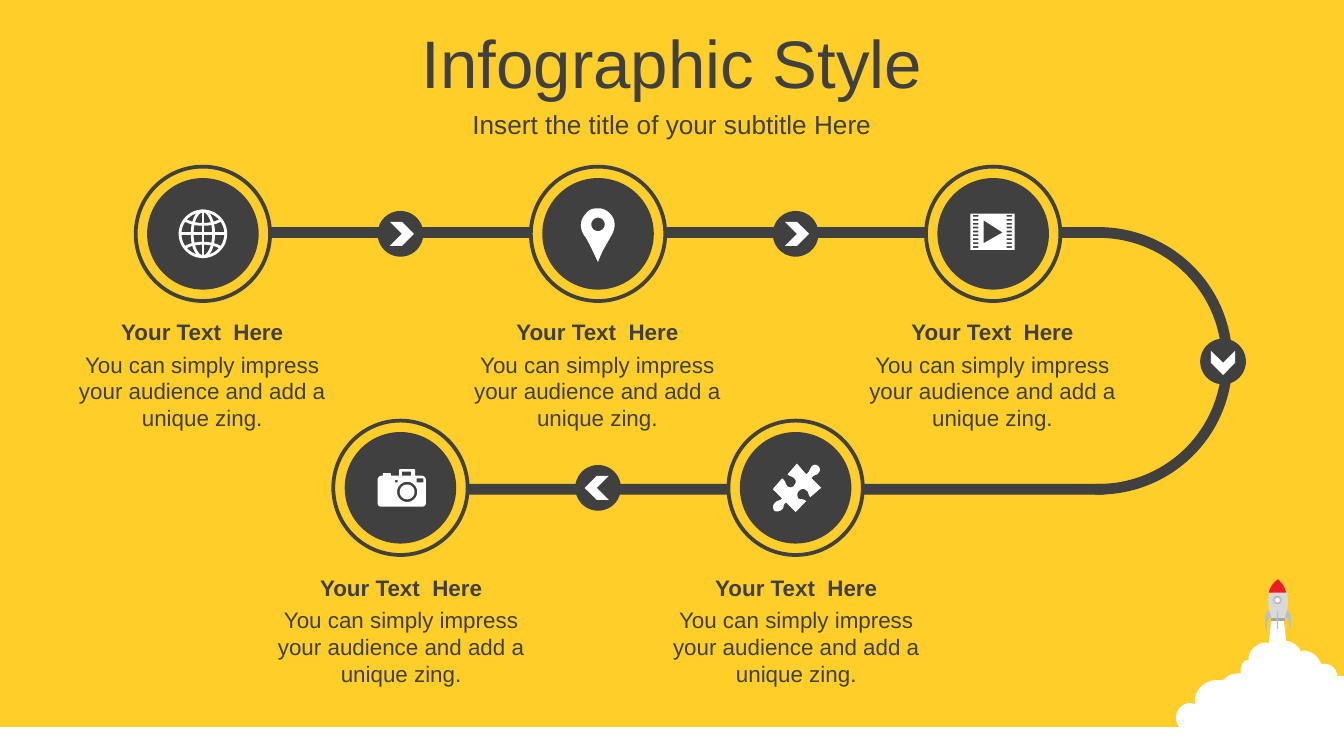
from dataclasses import dataclass
from math import cos, pi, radians, sin

from pptx import Presentation
from pptx.dml.color import RGBColor
from pptx.enum.shapes import MSO_SHAPE
from pptx.enum.text import MSO_ANCHOR, MSO_AUTO_SIZE, PP_ALIGN
from pptx.util import Inches, Pt


@dataclass(frozen=True)
class Theme:
    font: str = "Arial"
    yellow: str = "FFCE29"
    dark: str = "404040"
    white: str = "FFFFFF"
    red: str = "ED1C24"
    hull: str = "D9D9D9"
    fin: str = "BFBFBF"
    nozzle: str = "A6A6A6"
    title: float = 36
    subtitle: float = 14
    body: float = 12


THEME = Theme()


def curve(start, first, second, end, steps=8):
    for step in range(1, steps + 1):
        t = step / steps
        weights = ((1 - t) ** 3, 3 * t * (1 - t) ** 2, 3 * t * t * (1 - t), t ** 3)
        yield tuple(sum(w * p[axis] for w, p in zip(weights, (start, first, second, end)))
                    for axis in (0, 1))


def outline(text):
    points = []
    for command in text.replace("L", "|").replace("C", "|").split("|"):
        numbers = [float(number) for number in command.split()]
        pairs = list(zip(numbers[::2], numbers[1::2]))
        points.extend(curve(points[-1], *pairs) if len(pairs) == 3 else pairs)
    return points


def oval(x, y, radius_x, radius_y):
    return [(x + radius_x * cos(pi * n / 24), y + radius_y * sin(pi * n / 24)) for n in range(49)]


def rectangle(x, y, width, height):
    return [(x, y), (x + width, y), (x + width, y + height), (x, y + height)]


GLOBE = [oval(0, 0, 17, 17), oval(0, 0, 8, 17), [(-17, 0), (17, 0)], [(0, -17), (0, 17)],
         outline("-13 -10 C-6 -6 6 -6 13 -10"), outline("-13 10 C-6 6 6 6 13 10")]
PIN = [outline("0 -19 C3 -19 6 -18 9 -15 C14 -10 13 -3 9 3 C5 10 3 13 0 21 "
               "C-4 13 -5 10 -9 3 C-14 -3 -14 -10 -9 -15 C-7 -18 -4 -19 0 -19"),
       oval(0, -7, 5, 5)]
FILM = [rectangle(-17, -15, 33, 27), [(-7, -10), (-7, 7), (7, -1)],
        *(rectangle(x, -14 + 2.9 * row, 4, 1.3) for x in (-15, 10) for row in range(9))]
CAMERA = [outline("0 -14 L10 -14 C11 -14 11 -13 11 -13 L11 -9 L16 -9 C18 -9 19 -7 19 -6 "
                  "L19 11 C19 13 18 14 16 14 L-14 14 C-16 14 -17 13 -17 11 L-17 -6 "
                  "C-17 -7 -16 -9 -14 -9 L-13 -9 L-13 -11 L-8 -11 C-7 -11 -7 -10 -7 -10 "
                  "L-7 -9 L-1 -9 L-1 -13 C-1 -13 -1 -14 0 -14"),
          rectangle(-4, -6, 2, 2), rectangle(12, -7, 5, 3), rectangle(1, -12, 7, 3),
          oval(5, 3, 7.5, 7.5), oval(5, 3, 5.5, 5.5)]
PUZZLE = [outline("17 -16 C18 -15 19 -13 17 -11 C16 -9 13 -10 12 -7 L19 0 L11 7 "
                  "C9 5 10 3 8 2 C6 0 4 1 3 2 C1 3 1 6 2 8 C5 9 6 8 8 10 L0 18 L-7 11 "
                  "C-10 13 -8 14 -10 16 C-12 18 -15 18 -16 17 C-17 15 -17 13 -16 12 "
                  "C-14 9 -12 10 -10 8 L-17 1 L-10 -7 C-7 -5 -8 -3 -6 -1 C-4 0 -2 0 -1 -2 "
                  "C0 -3 1 -5 -1 -7 C-3 -9 -4 -8 -6 -10 L1 -18 L8 -10 "
                  "C11 -13 10 -13 12 -16 C14 -18 16 -17 17 -16")]
CLOUD = outline("71 28 L80 28 L82 46 L84 46 C87 47 90 49 92 52 L93 54 L94 53 "
                "C100 53 106 57 108 63 L111 63 C115 63 119 66 120 71 L120 72 L125 72 "
                "L125 130 L13 130 L18 121 C17 123 14 114 11 114 C5 114 0 109 0 103 "
                "C0 97 5 92 11 92 L14 93 L14 91 C14 82 21 75 31 75 L35 75 L36 74 "
                "C39 71 43 70 48 70 L48 68 C48 64 50 61 53 60 L54 60 L54 58 "
                "C55 52 61 47 67 47 L69 48 L71 28")
HULL = outline("71 31 C69 22 65 9 76 0 C87 10 83 23 81 31")
NOSE = outline("76 0 C79 3 81 6 82 10 L69 10 C70 6 72 3 76 0")
LEFT_FIN = outline("69 23 L71 28 C67 30 68 35 67 37 C66 34 65 26 69 23")
RIGHT_FIN = [(152 - x, y) for x, y in LEFT_FIN]


def color(value):
    return RGBColor.from_string(value)


def paint(shape, fill=None, line=None, width=1):
    shape.shadow.inherit = False
    if fill:
        shape.fill.solid()
        shape.fill.fore_color.rgb = color(fill)
    else:
        shape.fill.background()
    if line:
        shape.line.color.rgb = color(line)
        shape.line.width = Pt(width)
    else:
        shape.line.fill.background()
    return shape


def add_preset(page, kind, left, top, width, height, fill, line=None, weight=1):
    shape = page.shapes.add_shape(kind, Inches(left), Inches(top), Inches(width), Inches(height))
    return paint(shape, fill, line, weight)


def add_drawing(page, left, top, contours, fill=None, line=None, weight=1.5):
    builder = None
    for contour in contours:
        points = [(Inches(left + x / 100), Inches(top + y / 100)) for x, y in contour]
        if builder is None:
            builder = page.shapes.build_freeform(*points[0])
        else:
            builder.move_to(*points[0])
        builder.add_line_segments(points[1:], close=fill is not None)
    return paint(builder.convert_to_shape(), fill, line, weight)


def write(box, text, size, bold=False, anchor=MSO_ANCHOR.TOP):
    frame = box.text_frame
    frame.text = text
    frame.word_wrap = True
    frame.auto_size = MSO_AUTO_SIZE.NONE
    frame.vertical_anchor = anchor
    para = frame.paragraphs[0]
    para.alignment = PP_ALIGN.CENTER
    for span in para.runs:
        span.font.name = THEME.font
        span.font.size = Pt(size)
        span.font.bold = bold
        span.font.color.rgb = color(THEME.dark)


def add_heading(page, left, top, width):
    lines = ((page.shapes.title, "Infographic Style", THEME.title, 0, 0.63),
             (page.placeholders[1], "Insert the title of your subtitle Here", THEME.subtitle, 0.63, 0.31))
    for box, text, size, offset, height in lines:
        box.left, box.top = Inches(left), Inches(top + offset)
        box.width, box.height = Inches(width), Inches(height)
        write(box, text, size, anchor=MSO_ANCHOR.MIDDLE)


def add_rocket(page, left, top):
    add_preset(page, MSO_SHAPE.RECTANGLE, 0, 5.41, 10, 0.24, THEME.white)
    for contour, fill in ((CLOUD, THEME.white), (HULL, THEME.hull),
                          (rectangle(71, 29, 10, 2), THEME.nozzle), (NOSE, THEME.red)):
        add_drawing(page, left, top, [contour], fill)
    add_preset(page, MSO_SHAPE.OVAL, left + 0.73, top + 0.13, 0.05, 0.05, THEME.white, THEME.fin)
    add_preset(page, MSO_SHAPE.RECTANGLE, left + 0.75, top + 0.24, 0.01, 0.13, THEME.fin)
    for contour in (LEFT_FIN, RIGHT_FIN):
        add_drawing(page, left, top, [contour], THEME.fin)


def add_track(page, left, top, right, gap):
    arc = add_preset(page, MSO_SHAPE.BLOCK_ARC, right - 1, top, 1.99, 1.99, THEME.dark)
    for index, value in enumerate((161.27, 54.9, 0.04)):
        arc.adjustments[index] = value
    for start, offset in ((left, 0), (left + 1.14, gap)):
        add_preset(page, MSO_SHAPE.RECTANGLE, start, top + offset, right - start + 0.04, 0.08, THEME.dark)


def add_badge(page, center_x, center_y, angle):
    circle = add_preset(page, MSO_SHAPE.OVAL, center_x - 0.17, center_y - 0.17, 0.34, 0.34, THEME.dark)
    left = center_x - 0.09 + 0.01 * cos(radians(angle))
    top = center_y - 0.09 + 0.01 * sin(radians(angle))
    chevron = add_preset(page, MSO_SHAPE.CHEVRON, left, top, 0.18, 0.18, THEME.white)
    circle.rotation = chevron.rotation = angle


def add_step(page, left, top, icon):
    add_preset(page, MSO_SHAPE.OVAL, left, top, 1, 1, THEME.yellow, THEME.dark, 2)
    add_preset(page, MSO_SHAPE.OVAL, left + 0.085, top + 0.085, 0.83, 0.83, THEME.dark)
    style = {"line": THEME.white} if icon is GLOBE else {"fill": THEME.white}
    add_drawing(page, left + 0.5, top + 0.5, icon, **style)


def add_caption(page, left, top):
    for text, offset, height, bold in (
            ("You can simply impress your audience and add a unique zing.", 0.24, 0.71, False),
            ("Your Text  Here", 0, 0.3, True)):
        box = page.shapes.add_textbox(Inches(left), Inches(top + offset), Inches(2.21), Inches(height))
        write(box, text, THEME.body, bold)


def main():
    deck = Presentation()
    deck.slide_width = Inches(10)
    deck.slide_height = deck.slide_width * 9 // 16
    page = deck.slides.add_slide(deck.slide_layouts[0])
    page.background.fill.solid()
    page.background.fill.fore_color.rgb = color(THEME.yellow)
    add_heading(page, 0, 0.14, 10)
    add_rocket(page, 8.75, 4.31)
    add_track(page, 1.49, 1.69, 8.18, 1.91)
    pitch = 2.94
    rows = ((1.01, 1.24, 0.4, 2.32, (GLOBE, PIN, FILM)),
            (2.48, 3.13, 1.88, 4.22, (CAMERA, PUZZLE)))
    for left, top, caption_left, caption_top, icons in rows:
        for column, icon in enumerate(icons):
            add_step(page, left + pitch * column, top, icon)
            add_caption(page, caption_left + pitch * column, caption_top)
    for center_x, center_y, angle in ((2.98, 1.74, 0), (2.98 + pitch, 1.74, 0), (9.1, 2.69, 90), (4.45, 3.63, 180)):
        add_badge(page, center_x, center_y, angle)
    deck.save("out.pptx")


if __name__ == "__main__":
    main()
